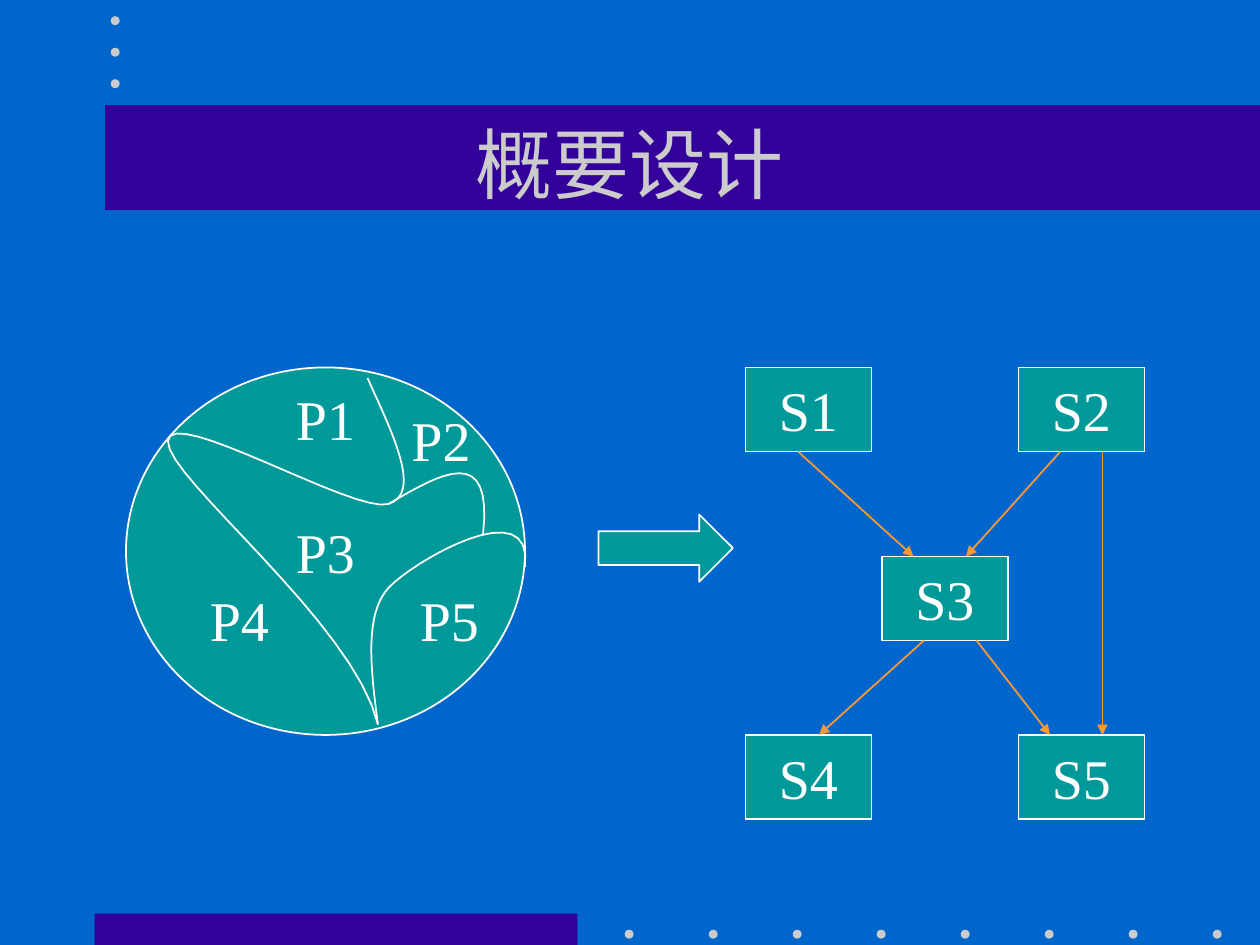
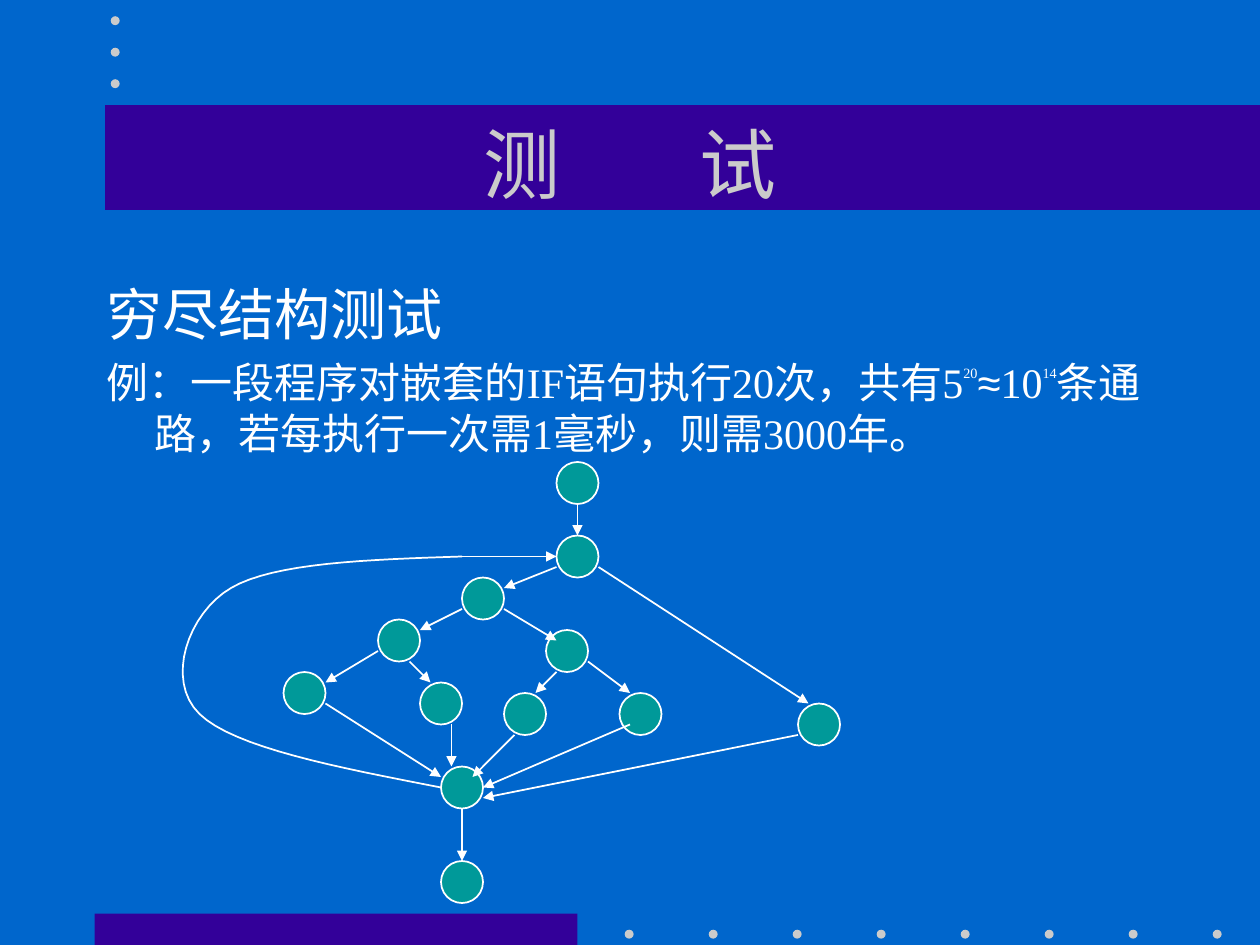
"""Build two lecture slides: preliminary design and exhaustive structural testing."""
import lxml.etree
import pptx
import pptx.dml.color
import pptx.enum.shapes
import pptx.enum.text
import pptx.oxml.ns
import pptx.util

SHAPE = pptx.enum.shapes.MSO_SHAPE
ALIGN = pptx.enum.text.PP_ALIGN
ANCHOR = pptx.enum.text.MSO_ANCHOR

BLUE, PURPLE, TEAL = "0066CC", "330099", "009999"
GREY, WHITE, ORANGE = "CBCBCB", "FFFFFF", "FF9933"
FONT = "Times New Roman"
UNITS_PER_INCH = 12

DESIGN_TITLE = "概要设计"
PROBLEM = ("P3", 12, 35, 38, 35)
PROBLEM_PARTS = [("P1", 27, 36), ("P2", 38, 38), ("P4", 18.8, 55.2), ("P5", 38.8, 55.2)]
PART_BORDERS = [
    [(35, 36), (37.5, 41.5), (40.2, 47), (37, 48), (33.8, 49), (16.2, 38.5), (16, 42),
     (15.8, 45.5), (33.7, 59.3), (36, 69)],
    [(36, 69), (35.3, 63.7), (34.7, 58.5), (37, 56), (39.3, 53.5), (50.9, 46.7), (50, 54)],
    [(37, 48), (42, 45.1), (47, 42.1), (46, 51)],
]
BECOMES = (57, 49, 12.8, 6.4)
MODULE_SIZE = (12, 8)
MODULES = [("S1", 71, 35), ("S2", 97, 35), ("S3", 84, 53), ("S4", 71, 70), ("S5", 97, 70)]
MODULE_CALLS = [(93, 61, 100, 70), (105, 43, 105, 70), (88, 61, 78, 70),
                (76, 43, 87, 53), (101, 43, 92, 53)]

TEST_TITLE = "测试"
TEST_TITLE_GAP = 79
TEST_HEADING = "穷尽结构测试"
TEST_EXAMPLE = [
    ("例：一段程序对嵌套的IF语句执行20次，共有5", 24, FONT, 0),
    ("20", 14, FONT, 82),
    ("≈", 24, "Arial", 0),
    ("10", 24, FONT, 0),
    ("14", 14, FONT, 84),
    ("条通路，若每执行一次需1毫秒，则需3000年。", 24, FONT, 0),
]
NODE_SIZE = (4, 4)
NODES = [(36, 59), (27, 64), (52, 60), (44, 55), (53, 51), (53, 44),
         (40, 65), (48, 66), (59, 66), (42, 73), (42, 82), (76, 67)]
BRANCHES = [(55, 48, 55, 51), (53, 54, 48, 56), (44, 58, 40, 60), (36, 62, 31, 65),
            (48, 58, 53, 61), (56, 63, 60, 66), (39, 63, 41, 65), (43, 69, 43, 73),
            (49, 70, 45, 74), (53, 64, 51, 66), (60, 69, 46, 75), (31, 67, 42, 74),
            (76, 70, 46, 76), (57, 54, 77, 67), (44, 77, 44, 82), (44, 53, 53, 53)]
LOOP_BACK = [(42, 75), (32.2, 73.1), (22.3, 71.2), (19, 68), (15.7, 64.8), (17.9, 58.4),
             (22, 56), (26.1, 53.6), (35, 53.3), (44, 53)]


def grid(*units):
    return [pptx.util.Cm(unit * 2.54 / UNITS_PER_INCH) for unit in units]


def color(code):
    return pptx.dml.color.RGBColor.from_string(code)


def set_font(font, size, code=WHITE, name=FONT):
    font.size = pptx.util.Pt(size)
    font.name = name
    font.color.rgb = color(code)


def set_line(line, code=WHITE):
    line.color.rgb = color(code)
    line.width = pptx.util.Pt(1)


def add_filled(slide, kind, place, fill=TEAL, outlined=True, label=""):
    filled = slide.shapes.add_shape(kind, *grid(*place))
    filled.shadow.inherit = False
    filled.fill.solid()
    filled.fill.fore_color.rgb = color(fill)
    if outlined:
        set_line(filled.line)
    else:
        filled.line.fill.background()
    if label:
        filled.text_frame.word_wrap = False
        filled.text_frame.vertical_anchor = ANCHOR.MIDDLE
        write(filled.text_frame.paragraphs[0], label, 32, ALIGN.CENTER)
    return filled


def write(paragraph, text, size, align=ALIGN.LEFT, code=WHITE):
    paragraph.alignment = align
    paragraph.add_run().text = text
    set_font(paragraph.font, size, code)


def add_text_frame(slide, place, wrap=True):
    frame = slide.shapes.add_textbox(*grid(*place)).text_frame
    frame.word_wrap = wrap
    return frame


def add_arrow(slide, ends, code=WHITE):
    arrow = slide.shapes.add_connector(pptx.enum.shapes.MSO_CONNECTOR.STRAIGHT, *grid(*ends))
    set_line(arrow.line, code)
    lxml.etree.SubElement(arrow.line._get_or_add_ln(), pptx.oxml.ns.qn("a:tailEnd"), type="triangle")
    lxml.etree.SubElement(arrow._element.spPr, pptx.oxml.ns.qn("a:effectLst"))


def bezier_points(controls, steps=16):
    points = [controls[0]]
    for first in range(0, len(controls) - 1, 3):
        corners = controls[first:first + 4]
        for step in range(1, steps + 1):
            t = step / steps
            weights = ((1 - t) ** 3, 3 * t * (1 - t) ** 2, 3 * t * t * (1 - t), t ** 3)
            points.append(tuple(sum(w * corner[axis] for w, corner in zip(weights, corners))
                                for axis in (0, 1)))
    return points


def add_curve(slide, controls):
    start, *rest = [grid(*point) for point in bezier_points(controls)]
    builder = slide.shapes.build_freeform(*start)
    builder.add_line_segments(rest, close=False)
    curve = builder.convert_to_shape()
    curve.shadow.inherit = False
    curve.fill.background()
    set_line(curve.line)


def add_framed_slide(deck, title, gap=0):
    slide = deck.slides.add_slide(deck.slide_layouts[6])
    slide.background.fill.solid()
    slide.background.fill.fore_color.rgb = color(BLUE)
    for band in [(9, 87, 46, 3), (10, 10, 110, 10)]:
        add_filled(slide, SHAPE.RECTANGLE, band, PURPLE, False)
    bottom_dots = [(59.5 + 8 * i, 88.55) for i in range(8)]
    top_dots = [(10.55, 1.55 + 3 * i) for i in range(3)]
    for dot in bottom_dots + top_dots:
        add_filled(slide, SHAPE.OVAL, (*dot, 0.85, 0.85), GREY, False)
    frame = add_text_frame(slide, (9, 8, 102, 15))
    frame.vertical_anchor = ANCHOR.MIDDLE
    heading = frame.paragraphs[0]
    if gap:
        spaced = heading.add_run()
        spaced.text, title = title[0], title[1:]
        spaced._r.get_or_add_rPr().set("spc", str(gap * 100))
    write(heading, title, 44, ALIGN.CENTER, GREY)
    return slide


def build_design(deck):
    slide = add_framed_slide(deck, DESIGN_TITLE)
    label, *place = PROBLEM
    add_filled(slide, SHAPE.OVAL, place, label=label)
    for border in PART_BORDERS:
        add_curve(slide, border)
    for label, left, top in PROBLEM_PARTS:
        frame = add_text_frame(slide, (left, top, 8, 7.7), wrap=False)
        write(frame.paragraphs[0], label, 32)
    add_filled(slide, SHAPE.RIGHT_ARROW, BECOMES)
    for label, *corner in MODULES:
        add_filled(slide, SHAPE.RECTANGLE, (*corner, *MODULE_SIZE), label=label)
    for call in MODULE_CALLS:
        add_arrow(slide, call, ORANGE)


def build_test(deck):
    slide = add_framed_slide(deck, TEST_TITLE, TEST_TITLE_GAP)
    frame = add_text_frame(slide, (9, 26, 102, 54))
    heading, example = frame.paragraphs[0], frame.add_paragraph()
    for paragraph in (heading, example):
        properties = paragraph._p.get_or_add_pPr()
        hanging = grid(4.5)[0]
        properties.set("marL", str(hanging))
        properties.set("indent", str(-hanging))
    write(heading, TEST_HEADING, 32)
    example.space_before = pptx.util.Pt(6)
    for text, size, name, raised in TEST_EXAMPLE:
        run = example.add_run()
        run.text = text
        set_font(run.font, size, name=name)
        if raised:
            run._r.get_or_add_rPr().set("baseline", str(raised * 1000))
    for node in NODES:
        add_filled(slide, SHAPE.OVAL, (*node, *NODE_SIZE))
    add_curve(slide, LOOP_BACK)
    for branch in BRANCHES:
        add_arrow(slide, branch)


def main():
    deck = pptx.Presentation()
    deck.slide_width, deck.slide_height = grid(120, 90)
    build_design(deck)
    build_test(deck)
    deck.save("out.pptx")


if __name__ == "__main__":
    main()
